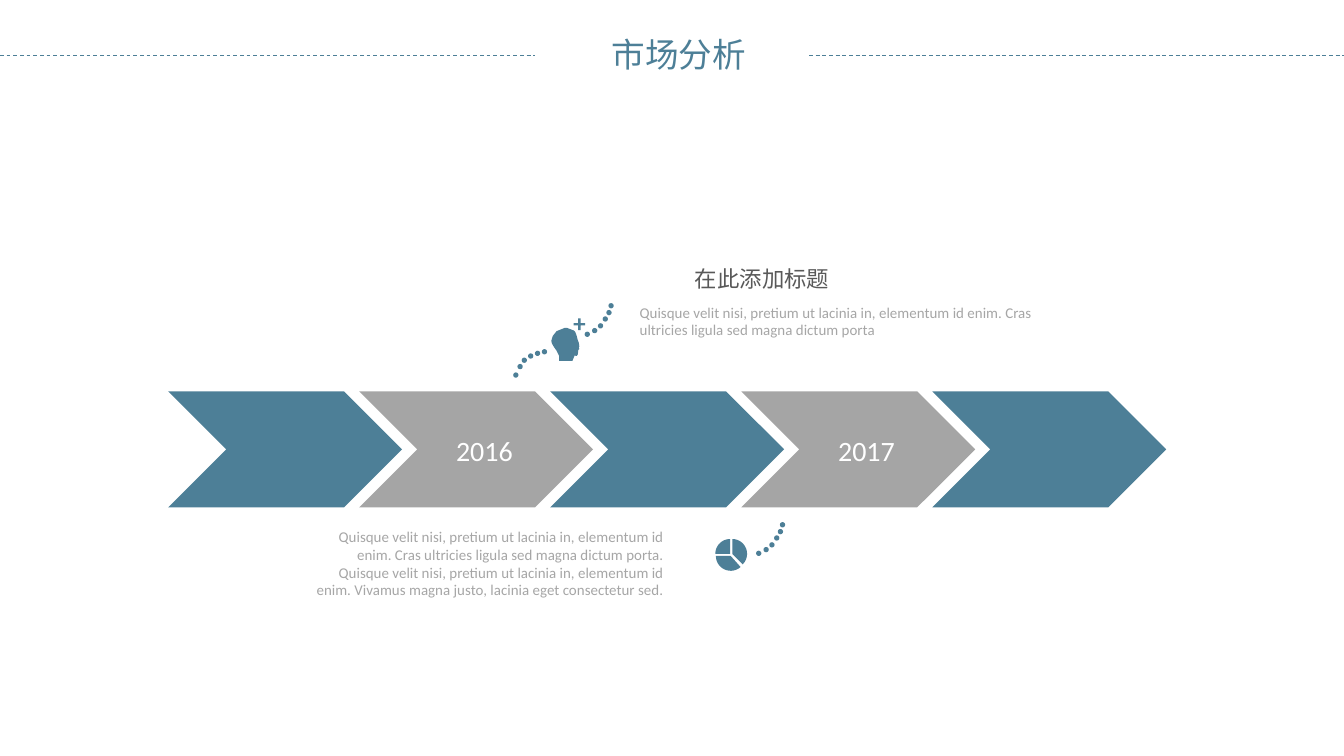
import math
from dataclasses import dataclass

import pptx
import pptx.dml.color
import pptx.enum.dml
import pptx.enum.shapes
import pptx.enum.text
import pptx.oxml
import pptx.oxml.ns
import pptx.util
from pptx.util import Cm

COLORS = {
    "blue": "4D7F97",
    "gray": "A5A5A5",
    "body": "A6A6A6",
    "heading": "595959",
    "white": "FFFFFF",
}
LATIN = "Calibri"
CHINESE = "Noto Sans CJK SC"
ALIGN = pptx.enum.text.PP_ALIGN
SHAPES = pptx.enum.shapes.MSO_SHAPE

Point = tuple[float, float]


@dataclass
class Box:
    """Position and size in centimetres."""
    left: float
    top: float
    width: float
    height: float

    def lengths(self) -> tuple:
        return Cm(self.left), Cm(self.top), Cm(self.width), Cm(self.height)


@dataclass
class Step:
    color: str
    year: str = ""


@dataclass
class DotTrail:
    left: float
    top: float
    offsets: list[Point]


@dataclass
class Wedge:
    """Pie slice; angles in degrees, clockwise from the right."""
    apex: Point
    start: int
    end: int


STEPS = [Step("blue"), Step("gray", "2016"), Step("blue"), Step("gray", "2017"), Step("blue")]
STEP_BOX = Box(3.18, 7.4, 4.42, 2.19)
STEP_PITCH = 3.61
YEAR_INSET = 1.65

DOT_SIZE = 0.1
CURVE_UP = [(0, 0), (0.14, -0.07), (0.25, -0.16), (0.34, -0.29), (0.41, -0.41), (0.45, -0.54)]
CURVE_OVER = [(0, 0), (0.08, -0.16), (0.16, -0.28), (0.28, -0.36), (0.41, -0.41), (0.54, -0.44)]
TRAILS = [
    DotTrail(14.29, 10.41, CURVE_UP),
    DotTrail(11.05, 6.27, CURVE_UP),
    DotTrail(9.7, 7.04, CURVE_OVER),
]

PIE_RADIUS = 0.28
WEDGES = [
    Wedge((13.84, 10.47), -90, 45),
    Wedge((13.8, 10.47), 180, 270),
    Wedge((13.81, 10.51), 48, 180),
]

HEAD = [
    (10.95, 6.55), (10.94, 6.48), (10.92, 6.43), (10.9, 6.35), (10.89, 6.32),
    (10.87, 6.27), (10.85, 6.25), (10.72, 6.2), (10.67, 6.2), (10.52, 6.26),
    (10.45, 6.35), (10.42, 6.44), (10.43, 6.49), (10.47, 6.56), (10.52, 6.63),
    (10.57, 6.73), (10.57, 6.82), (10.82, 6.82), (10.86, 6.72), (10.9, 6.73),
    (10.92, 6.7), (10.93, 6.63), (10.92, 6.62), (10.95, 6.6), (10.94, 6.57),
]


def rgb(color: str) -> pptx.dml.color.RGBColor:
    return pptx.dml.color.RGBColor.from_string(COLORS[color])


def write_text(shape, text: str, *, size: float, color: str, font: str = LATIN,
               align=ALIGN.LEFT, wrap: bool = True) -> None:
    frame = shape.text_frame
    frame.word_wrap = wrap
    frame.auto_size = pptx.enum.text.MSO_AUTO_SIZE.NONE
    frame.vertical_anchor = pptx.enum.text.MSO_ANCHOR.TOP
    frame.margin_left = frame.margin_right = Cm(0.18)
    frame.margin_top = frame.margin_bottom = Cm(0.09)
    paragraph = frame.paragraphs[0]
    paragraph.alignment = align
    run = paragraph.add_run()
    run.text = text
    run.font.name = font
    run.font.size = pptx.util.Pt(size)
    run.font.color.rgb = rgb(color)
    if font == CHINESE:
        east_asian = pptx.oxml.parse_xml(
            f'<a:ea {pptx.oxml.ns.nsdecls("a")} typeface="{font}"/>')
        run.font._element.find(pptx.oxml.ns.qn("a:latin")).addnext(east_asian)


def add_text(slide, box: Box, text: str, **text_format) -> None:
    write_text(slide.shapes.add_textbox(*box.lengths()), text, **text_format)


def paint(shape, color: str) -> None:
    shape.shadow.inherit = False
    shape.fill.solid()
    shape.fill.fore_color.rgb = rgb(color)
    shape.line.fill.background()


def add_preset(slide, kind, box: Box, color: str, adjustment: float | None = None) -> None:
    shape = slide.shapes.add_shape(kind, *box.lengths())
    if adjustment is not None:
        shape.adjustments[0] = adjustment
    paint(shape, color)


def add_polygon(shapes, points: list[Point], color: str) -> None:
    corners = [(Cm(x), Cm(y)) for x, y in points]
    builder = shapes.build_freeform(*corners[0])
    builder.add_line_segments(corners[1:], close=True)
    paint(builder.convert_to_shape(), color)


def add_wedge(shapes, wedge: Wedge) -> None:
    x, y = wedge.apex
    angles = [math.radians(angle) for angle in (*range(wedge.start, wedge.end, 5), wedge.end)]
    arc = [(x + PIE_RADIUS * math.cos(a), y + PIE_RADIUS * math.sin(a)) for a in angles]
    add_polygon(shapes, [wedge.apex, *arc], "blue")


def add_dashed_rule(slide, start: float, end: float, y: float) -> None:
    connector = slide.shapes.add_connector(
        pptx.enum.shapes.MSO_CONNECTOR.STRAIGHT, Cm(start), Cm(y), Cm(end), Cm(y))
    connector.line.color.rgb = rgb("blue")
    connector.line.width = pptx.util.Pt(0.5)
    connector.line.dash_style = pptx.enum.dml.MSO_LINE.DASH
    connector._element.spPr.append(
        pptx.oxml.parse_xml(f'<a:effectLst {pptx.oxml.ns.nsdecls("a")}/>'))


def add_step(slide, index: int, step: Step) -> None:
    left = STEP_BOX.left + index * STEP_PITCH
    box = Box(left, STEP_BOX.top, STEP_BOX.width, STEP_BOX.height)
    add_preset(slide, SHAPES.CHEVRON, box, step.color, 0.5)
    if step.year:
        add_text(slide, Box(left + YEAR_INSET, 8.1, 2.08, 0.84), step.year,
                 size=15, color="white")


def main() -> None:
    presentation = pptx.Presentation()
    presentation.slide_width, presentation.slide_height = Cm(25.4), Cm(14.29)
    slide = presentation.slides.add_slide(presentation.slide_layouts[5])

    title = slide.shapes.title
    title.left, title.top, title.width, title.height = Box(11.38, 0.56, 2.95, 0.97).lengths()
    write_text(title, "市场分析", size=18, color="blue", font=CHINESE, wrap=False)
    for start, end in ((0, 10.11), (15.29, 25.4)):
        add_dashed_rule(slide, start, end, 1.04)

    for index, step in enumerate(STEPS):
        add_step(slide, index, step)

    for wedge in WEDGES:
        add_wedge(slide.shapes, wedge)
    add_polygon(slide.shapes, HEAD, "blue")
    add_preset(slide, SHAPES.CROSS, Box(10.84, 6.02, 0.22, 0.22), "blue", 0.4)
    for trail in TRAILS:
        for x, y in trail.offsets:
            dot = Box(trail.left + x, trail.top + y, DOT_SIZE, DOT_SIZE)
            add_preset(slide, SHAPES.OVAL, dot, "blue")

    add_text(slide, Box(5.77, 9.88, 6.96, 1.55),
             "Quisque velit nisi, pretium ut lacinia in, elementum id enim. "
             "Cras ultricies ligula sed magna dictum porta. "
             "Quisque velit nisi, pretium ut lacinia in, elementum id enim. "
             "Vivamus magna justo, lacinia eget consectetur sed.",
             size=8, color="body", align=ALIGN.RIGHT)
    add_text(slide, Box(11.94, 4.93, 4.93, 0.71), "在此添加标题",
             size=12, color="heading", font=CHINESE, align=ALIGN.CENTER)
    add_text(slide, Box(11.91, 5.64, 8.51, 0.89),
             "Quisque velit nisi, pretium ut lacinia in, elementum id enim. "
             "Cras ultricies ligula sed magna dictum porta",
             size=8, color="body")

    presentation.save("out.pptx")


if __name__ == "__main__":
    main()
